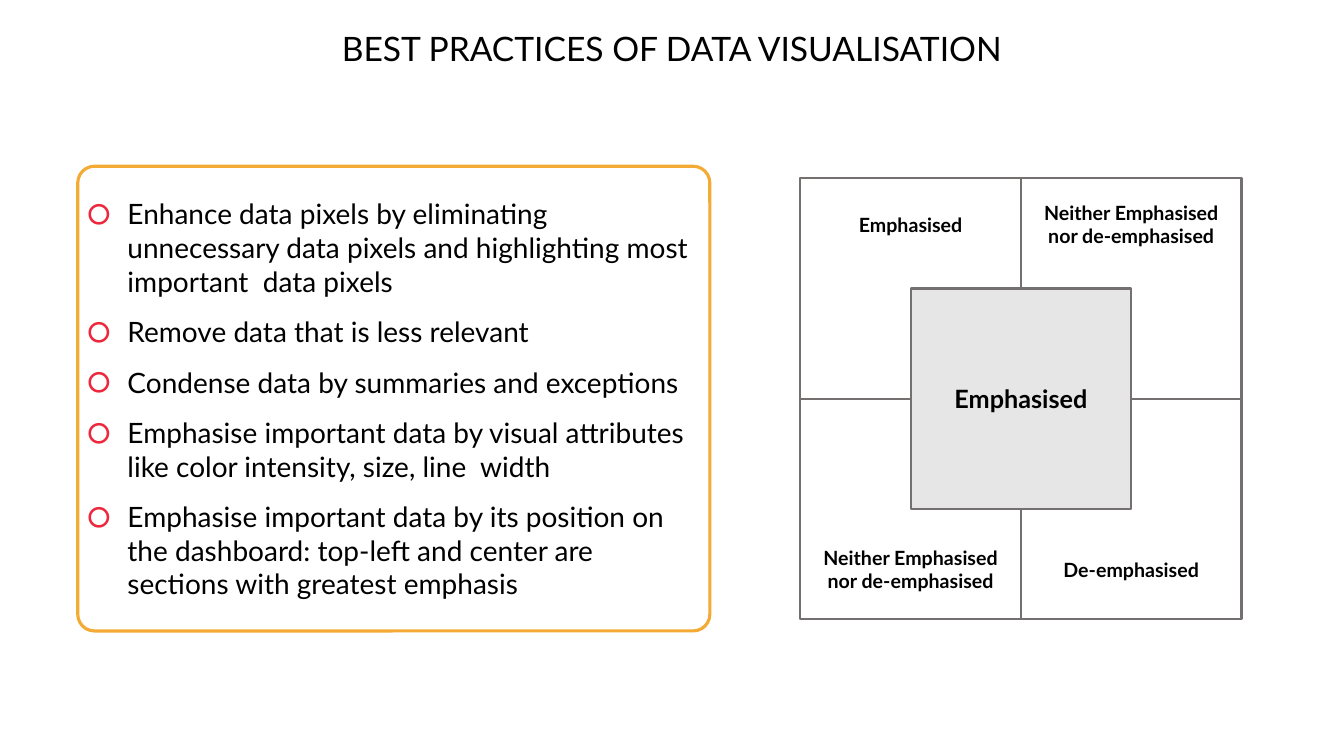
import pptx
import pptx.dml.color
import pptx.enum.shapes
import pptx.enum.text
import pptx.oxml
import pptx.oxml.ns
import pptx.util

Cm = pptx.util.Cm
Pt = pptx.util.Pt
ALIGN = pptx.enum.text.PP_ALIGN
ANCHOR = pptx.enum.text.MSO_ANCHOR
SHAPE = pptx.enum.shapes.MSO_SHAPE

COLORS = {"text": "000000", "frame": "F4AB35", "bullet": "EE283C",
          "grid": "757070", "center": "E7E6E6"}
FONT = "Lato"
PRACTICES = [
    "Enhance data pixels by eliminating unnecessary data pixels and highlighting most important  data pixels",
    "Remove data that is less relevant",
    "Condense data by summaries and exceptions",
    "Emphasise important data by visual attributes like color intensity, size, line  width",
    "Emphasise important data by its position on the dashboard: top-left and center are sections with greatest emphasis",
]
QUADRANTS = [
    ["Emphasised", "Neither Emphasised nor de-emphasised"],
    ["Neither Emphasised nor de-emphasised", "De-emphasised"],
]
GRID_LEFT, GRID_TOP, SIDE = 20.17, 4.49, 5.56
LABEL_INSET, LABEL_HEIGHT = 0.17, 1.55
LABEL_OFFSETS = [0.39, 3.52]


def rgb(name):
    """Return the named colour."""
    return pptx.dml.color.RGBColor.from_string(COLORS[name])


def write(p, text, size=14, bold=False, align=ALIGN.CENTER):
    """Add formatted text to a paragraph."""
    p.alignment = align
    r = p.add_run()
    r.text = text
    r.font.name = FONT
    r.font.size = Pt(size)
    r.font.bold = bold
    r.font.color.rgb = rgb("text")


def set_frame(tf, anchor=ANCHOR.MIDDLE, side_inset=0.25):
    """Set wrapping, anchor and insets of a text frame."""
    tf.word_wrap = True
    tf.auto_size = pptx.enum.text.MSO_AUTO_SIZE.NONE
    tf.vertical_anchor = anchor
    tf.margin_left = tf.margin_right = Cm(side_inset)
    tf.margin_top = tf.margin_bottom = Cm(0.13)


def add_box(s, kind, left, top, width, height, line, weight, fill=None):
    """Add an outlined shape, filled or hollow."""
    sp = s.shapes.add_shape(kind, Cm(left), Cm(top), Cm(width), Cm(height))
    sp.shadow.inherit = False
    sp.line.color.rgb = rgb(line)
    sp.line.width = Pt(weight)
    if fill:
        sp.fill.solid()
        sp.fill.fore_color.rgb = rgb(fill)
    else:
        sp.fill.background()
    return sp


def add_bullet(p):
    """Give a paragraph a hanging circle bullet."""
    pPr = p._p.get_or_add_pPr()
    pPr.set("marL", str(Cm(1)))
    pPr.set("indent", str(-Cm(1)))
    ns = pptx.oxml.ns.nsdecls("a")
    for xml in (f'<a:buClr {ns}><a:srgbClr val="{COLORS["bullet"]}"/></a:buClr>',
                f'<a:buFont {ns} typeface="{FONT}"/>',
                f'<a:buChar {ns} char="🞆"/>'):
        pPr.append(pptx.oxml.parse_xml(xml))


def add_title(s, text):
    """Place and fill the title placeholder."""
    sp = s.shapes.title
    sp.left, sp.top, sp.width, sp.height = Cm(3.48), Cm(0.58), Cm(26.9), Cm(1.27)
    set_frame(sp.text_frame, anchor=ANCHOR.TOP, side_inset=0.13)
    write(sp.text_frame.paragraphs[0], text, size=24)


def add_practices(s):
    """Add the framed list of practices."""
    sp = add_box(s, SHAPE.ROUNDED_RECTANGLE, 1.96, 4.19, 15.93, 11.71, "frame", 2.25)
    sp.adjustments[0] = 0.036
    tf = sp.text_frame
    set_frame(tf, side_inset=0.13)
    for i, text in enumerate(PRACTICES):
        p = tf.add_paragraph() if i else tf.paragraphs[0]
        write(p, text, size=20, align=ALIGN.LEFT)
        p.space_before = Pt(12 if i else 6)
        p.space_after = Pt(6 if i == len(PRACTICES) - 1 else 0)
        add_bullet(p)


def add_emphasis_grid(s):
    """Add the four labelled quadrants and the central square."""
    for row, labels in enumerate(QUADRANTS):
        for col, text in enumerate(labels):
            left, top = GRID_LEFT + col * SIDE, GRID_TOP + row * SIDE
            add_box(s, SHAPE.RECTANGLE, left, top, SIDE, SIDE, "grid", 1.5)
            label = s.shapes.add_textbox(
                Cm(left + LABEL_INSET), Cm(top + LABEL_OFFSETS[row]),
                Cm(SIDE - 2 * LABEL_INSET), Cm(LABEL_HEIGHT))
            set_frame(label.text_frame)
            write(label.text_frame.paragraphs[0], text, bold=True)
    center = add_box(s, SHAPE.RECTANGLE, GRID_LEFT + SIDE / 2, GRID_TOP + SIDE / 2,
                     SIDE, SIDE, "grid", 1.5, fill="center")
    set_frame(center.text_frame)
    write(center.text_frame.paragraphs[0], "Emphasised", size=18, bold=True)


def main():
    """Build and save the slide."""
    prs = pptx.Presentation()
    prs.slide_width, prs.slide_height = Cm(33.87), Cm(19.05)
    s = prs.slides.add_slide(prs.slide_layouts[5])
    add_title(s, "BEST PRACTICES OF DATA VISUALISATION")
    add_practices(s)
    add_emphasis_grid(s)
    prs.save("out.pptx")


if __name__ == "__main__":
    main()
